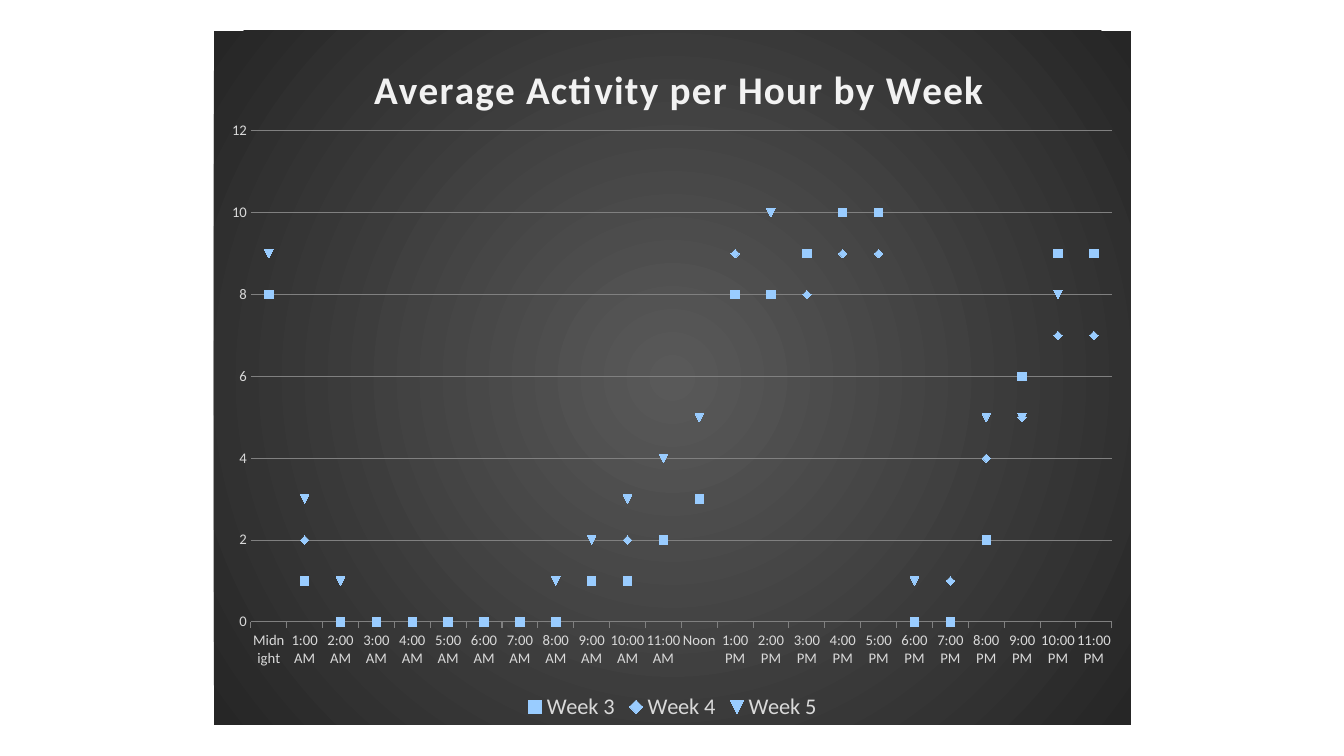
import dataclasses

import pptx
import pptx.chart.chart
import pptx.chart.data
import pptx.chart.series
import pptx.dml.color
import pptx.enum.chart
import pptx.oxml
import pptx.oxml.ns
import pptx.text.text
import pptx.util

EMU_PER_PX = 914400 / 100.8


@dataclasses.dataclass(frozen=True)
class Theme:
    font: str = "Calibri"
    title: str = "F2F2F2"
    label: str = "D9D9D9"
    grid: str = "808080"
    marker: str = "99CCFF"
    center: str = "595959"
    edge: str = "262626"
    title_size: float = 28
    legend_size: float = 16
    axis_size: float = 10.5
    line_width: float = 0.75
    marker_size: int = 6


@dataclasses.dataclass(frozen=True)
class Box:
    left: int
    top: int
    width: int
    height: int


@dataclasses.dataclass(frozen=True)
class Week:
    name: str
    activity: tuple[int, ...]


THEME = Theme()
PAGE = Box(0, 0, 1344, 756)
CHART = Box(214, 31, 917, 694)
PLOT = Box(251, 131, 861, 491)
TITLE = Box(367, 56, 610, 48)

HOURS = [
    name
    for noon, half in (("Midnight", "AM"), ("Noon", "PM"))
    for name in [noon, *(f"{hour}:00 {half}" for hour in range(1, 12))]
]
WEEKS = (
    Week("Week 3", (8, 1, 0, 0, 0, 0, 0, 0, 0, 1, 1, 2, 3, 8, 8, 9, 10, 10, 0, 0, 2, 6, 9, 9)),
    Week("Week 4", (8, 2, 0, 0, 0, 0, 0, 0, 0, 1, 2, 2, 3, 9, 8, 8, 9, 9, 0, 1, 4, 5, 7, 7)),
    Week("Week 5", (9, 3, 1, 0, 0, 0, 0, 0, 1, 2, 3, 4, 5, 8, 10, 9, 10, 10, 1, 0, 5, 5, 8, 9)),
)


def px(length: int) -> pptx.util.Emu:
    return pptx.util.Emu(round(length * EMU_PER_PX))


def color(value: str) -> pptx.dml.color.RGBColor:
    return pptx.dml.color.RGBColor.from_string(value)


def style_font(font: pptx.text.text.Font, size: float, value: str, bold: bool = False) -> None:
    font.name = THEME.font
    font.size = pptx.util.Pt(size)
    font.bold = bold
    font.color.rgb = color(value)


def style_line(line: pptx.dml.line.LineFormat) -> None:
    line.color.rgb = color(THEME.grid)
    line.width = pptx.util.Pt(THEME.line_width)


def set_layout(parent: pptx.oxml.xmlchemy.BaseOxmlElement, index: int, box: Box, sized: bool) -> None:
    for old in parent.findall(pptx.oxml.ns.qn("c:layout")):
        parent.remove(old)
    values = {
        "x": (box.left - CHART.left) / CHART.width,
        "y": (box.top - CHART.top) / CHART.height,
    }
    if sized:
        values |= {"w": box.width / CHART.width, "h": box.height / CHART.height}
    target = '<c:layoutTarget val="inner"/>' if sized else ""
    modes = "".join(f'<c:{key}Mode val="edge"/>' for key in ("x", "y"))
    places = "".join(f'<c:{key} val="{value:.4f}"/>' for key, value in values.items())
    parent.insert(index, pptx.oxml.parse_xml(
        f'<c:layout {pptx.oxml.ns.nsdecls("c")}><c:manualLayout>'
        f"{target}{modes}{places}</c:manualLayout></c:layout>"
    ))


def fill_background(chart: pptx.chart.chart.Chart) -> None:
    stops = "".join(
        f'<a:gs pos="{place}"><a:srgbClr val="{value}"/></a:gs>'
        for place, value in ((0, THEME.center), (100000, THEME.edge))
    )
    chart.element.find(pptx.oxml.ns.qn("c:chart")).addnext(pptx.oxml.parse_xml(
        f'<c:spPr {pptx.oxml.ns.nsdecls("c", "a")}><a:gradFill><a:gsLst>{stops}</a:gsLst>'
        '<a:path path="circle"><a:fillToRect l="50000" t="50000" r="50000" b="50000"/></a:path>'
        "</a:gradFill><a:ln><a:noFill/></a:ln></c:spPr>"
    ))


def style_title(chart: pptx.chart.chart.Chart) -> None:
    chart.has_title = True
    frame = chart.chart_title.text_frame
    frame.text = "Average Activity per Hour by Week"
    span = frame.paragraphs[0].runs[0]
    style_font(span.font, THEME.title_size, THEME.title, True)
    span.font._element.set("spc", "100")
    set_layout(chart.chart_title.element, 1, TITLE, False)


def style_axes(chart: pptx.chart.chart.Chart) -> None:
    hours, values = chart.category_axis, chart.value_axis
    for axis in (hours, values):
        style_font(axis.tick_labels.font, THEME.axis_size, THEME.label)
        axis.minor_tick_mark = pptx.enum.chart.XL_TICK_MARK.NONE
    hours.major_tick_mark = pptx.enum.chart.XL_TICK_MARK.OUTSIDE
    hours.has_major_gridlines = False
    style_line(hours.format.line)
    values.major_tick_mark = pptx.enum.chart.XL_TICK_MARK.NONE
    values.minimum_scale, values.maximum_scale, values.major_unit = 0, 12, 2
    values.format.line.fill.background()
    values.has_major_gridlines = True
    style_line(values.major_gridlines.format.line)


def style_series(series: pptx.chart.series.LineSeries) -> None:
    series.smooth = False
    series.format.line.fill.background()
    marker = series.marker
    marker.style = pptx.enum.chart.XL_MARKER_STYLE.AUTOMATIC
    marker.size = THEME.marker_size
    marker.format.fill.solid()
    marker.format.fill.fore_color.rgb = color(THEME.marker)
    marker.format.line.fill.background()


def style_legend(chart: pptx.chart.chart.Chart) -> None:
    chart.has_legend = True
    chart.legend.position = pptx.enum.chart.XL_LEGEND_POSITION.BOTTOM
    chart.legend.include_in_layout = False
    style_font(chart.legend.font, THEME.legend_size, THEME.label)


def main() -> None:
    deck = pptx.Presentation()
    deck.slide_width, deck.slide_height = px(PAGE.width), px(PAGE.height)
    page = deck.slides.add_slide(deck.slide_layouts[6])
    data = pptx.chart.data.CategoryChartData()
    data.categories = HOURS
    for week in WEEKS:
        data.add_series(week.name, week.activity)
    chart = page.shapes.add_chart(
        pptx.enum.chart.XL_CHART_TYPE.LINE_MARKERS,
        px(CHART.left), px(CHART.top), px(CHART.width), px(CHART.height), data,
    ).chart
    style_font(chart.font, THEME.axis_size, THEME.label)
    fill_background(chart)
    style_title(chart)
    style_axes(chart)
    style_legend(chart)
    plot = chart.plots[0]
    plot.vary_by_categories = False
    for series in plot.series:
        style_series(series)
    area = chart.element.find(".//" + pptx.oxml.ns.qn("c:plotArea"))
    set_layout(area, 0, PLOT, True)
    deck.save("out.pptx")


if __name__ == "__main__":
    main()
